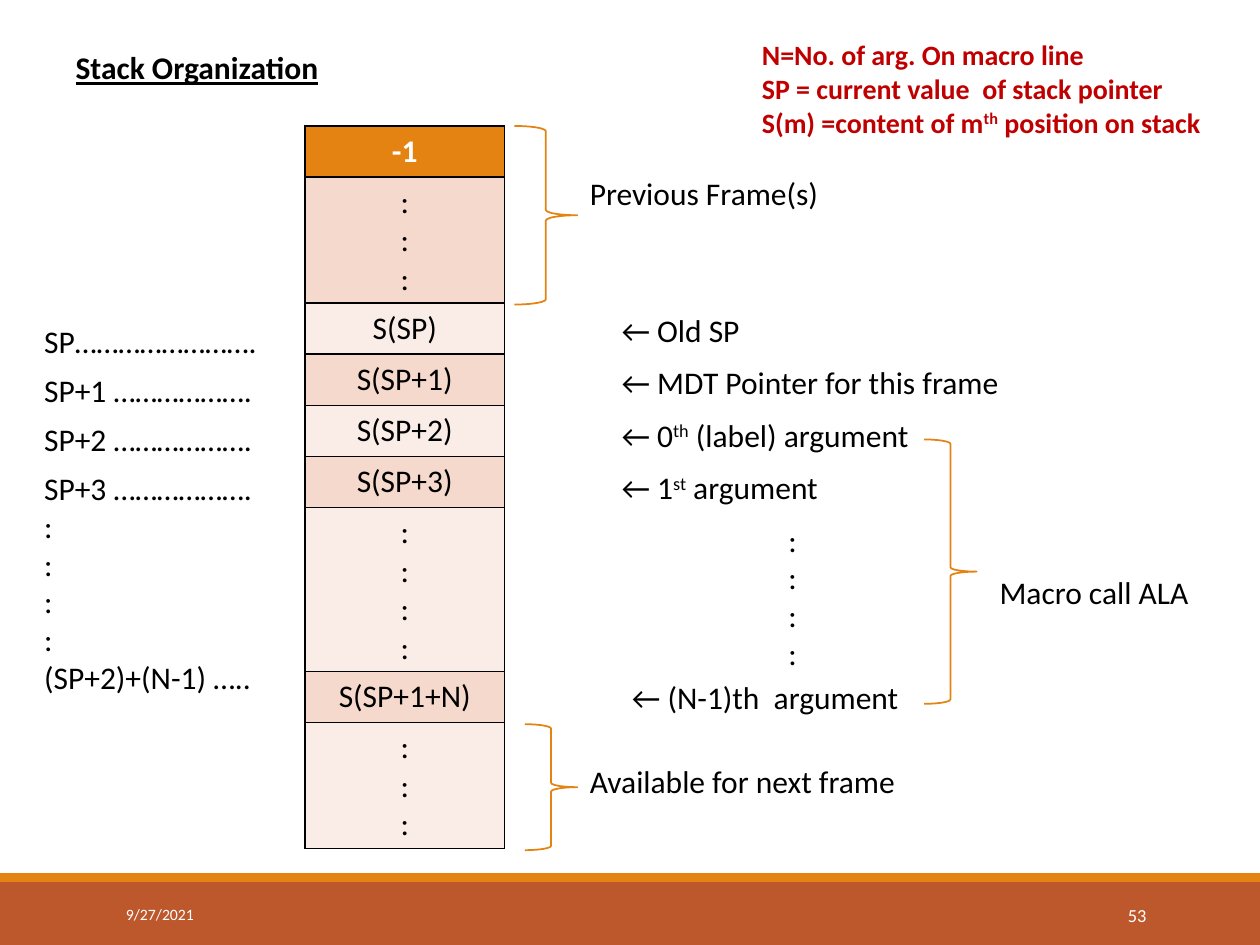
from lxml import etree
from pptx import Presentation
from pptx.dml.color import RGBColor
from pptx.enum.shapes import MSO_SHAPE
from pptx.enum.text import MSO_ANCHOR, MSO_AUTO_SIZE, PP_ALIGN
from pptx.oxml.ns import qn
from pptx.util import Cm, Pt

RECTANGLE, BRACE = MSO_SHAPE.RECTANGLE, MSO_SHAPE.RIGHT_BRACE
LEFT, CENTER, RIGHT = PP_ALIGN.LEFT, PP_ALIGN.CENTER, PP_ALIGN.RIGHT
TOP, MIDDLE = MSO_ANCHOR.TOP, MSO_ANCHOR.MIDDLE
FIT_SHAPE, FIT_NONE = MSO_AUTO_SIZE.SHAPE_TO_FIT_TEXT, MSO_AUTO_SIZE.NONE
COLORS = {
    "black": "000000", "white": "FFFFFF", "red": "C00000", "orange": "E48312",
    "rust": "BD582C", "dark band": "F5D9CC", "light band": "FAEDE7",
}
TITLE_ONLY = 5


class StackPage:
    """Holds the style and the current slide, and draws each kind of element."""

    def __init__(self, page):
        self.page = page
        self.format = {"name": "Calibri", "size": Pt(18), "bold": False, "underline": False}

    def color(self, name):
        return RGBColor.from_string(COLORS[name])

    def fill_text(self, frame, lines, color="black", align=LEFT, pitch=None, **changes):
        for index, line in enumerate(lines):
            para = frame.add_paragraph() if index else frame.paragraphs[0]
            para.alignment = align
            if pitch and not line.startswith((":", "(")):
                para.line_spacing = Pt(pitch)
            for order, words in enumerate(line.split("^")):
                span = para.add_run()
                span.text = words
                for key, value in {**self.format, **changes}.items():
                    setattr(span.font, key, value)
                span.font.color.rgb = self.color(color)
                if order % 2:
                    span.font._element.set("baseline", "30000")

    def title(self, words, left, top, width, height):
        box = self.page.shapes.title
        for key, value in zip(("left", "top", "width", "height"), (left, top, width, height)):
            setattr(box, key, Cm(value))
        frame = box.text_frame
        frame.auto_size, frame.vertical_anchor, frame.word_wrap = FIT_NONE, TOP, True
        self.fill_text(frame, [words], bold=True, underline=True)

    def text(self, lines, left, top, width=6.98, height=1.02, anchor=TOP, **style):
        box = self.page.shapes.add_textbox(Cm(left), Cm(top), Cm(width), Cm(height))
        frame = box.text_frame
        frame.word_wrap, frame.vertical_anchor = True, anchor
        frame.auto_size = FIT_SHAPE if anchor == TOP else FIT_NONE
        self.fill_text(frame, lines, **style)

    def bar(self, top, height, color):
        bar = self.page.shapes.add_shape(RECTANGLE, 0, Cm(top), Cm(25.4), Cm(height))
        bar.shadow.inherit = False
        bar.fill.solid()
        bar.fill.fore_color.rgb = self.color(color)
        bar.line.fill.background()

    def brace(self, left, top, width, height):
        brace = self.page.shapes.add_shape(BRACE, Cm(left), Cm(top), Cm(width), Cm(height))
        brace.shadow.inherit = False
        brace.fill.background()
        brace.line.color.rgb = self.color("orange")
        brace.line.width = Pt(1)

    def border(self, cell):
        properties = cell._tc.get_or_add_tcPr()
        for index, side in enumerate(("lnL", "lnR", "lnT", "lnB")):
            line = etree.Element(qn(f"a:{side}"), w=str(Pt(1)))
            fill = etree.SubElement(line, qn("a:solidFill"))
            etree.SubElement(fill, qn("a:srgbClr"), val=COLORS["black"])
            properties.insert(index, line)

    def stack(self, cells, left, top, width):
        heights = {1: 1.03, 3: 2.06, 4: 3.09}
        total = sum(heights[len(lines)] for lines in cells)
        table = self.page.shapes.add_table(
            len(cells), 1, Cm(left), Cm(top), Cm(width), Cm(total)).table
        for index, lines in enumerate(cells):
            table.rows[index].height = Cm(heights[len(lines)])
            cell = table.cell(index, 0)
            band = "dark band" if index % 2 else "light band"
            cell.fill.solid()
            cell.fill.fore_color.rgb = self.color(band if index else "orange")
            self.border(cell)
            self.fill_text(cell.text_frame, lines, "black" if index else "white", CENTER,
                           bold=index == 0)


def main():
    deck = Presentation()
    deck.slide_width, deck.slide_height = Cm(25.4), Cm(19.05)
    slide = StackPage(deck.slides.add_slide(deck.slide_layouts[TITLE_ONLY]))
    dots = [":"]

    slide.bar(17.78, 1.27, "rust")
    slide.bar(17.6, 0.18, "orange")
    slide.title("Stack Organization", 1.27, 0.85, 9.31, 1.07)
    slide.text(["N=No. of arg. On macro line", "SP = current value  of stack pointer",
                "S(m) =content of m^th^ position on stack"],
               15.11, 0.64, 10.29, 2.31, color="red", size=Pt(16), bold=True)

    slide.stack([["-1"], dots * 3, ["S(SP)"], ["S(SP+1)"], ["S(SP+2)"], ["S(SP+3)"],
                 dots * 4, ["S(SP+1+N)"], dots * 3], 6.15, 2.54, 4.02)
    slide.text(["SP…………………….", "SP+1 ……………….", "SP+2 ……………….", "SP+3 ……………….",
                *dots * 4, "(SP+2)+(N-1) ….."], 0.64, 6.14, 5.08, 8.1, pitch=28)

    slide.brace(10.37, 2.54, 1.27, 3.6)
    slide.brace(10.58, 14.6, 1.06, 2.54)
    slide.brace(18.63, 8.86, 1.06, 5.33)
    slide.text(["Previous Frame(s)"], 11.64, 3.39)
    slide.text(["Available for next frame"], 11.64, 15.24)
    slide.text(["Macro call ALA"], 19.9, 11.43, 5.5)

    entries = [("← Old SP", 6.98), ("← MDT Pointer for this frame", 9.1),
               ("← 0^th^ (label) argument", 7.2), ("← 1^st^ argument", 6.98)]
    for index, (words, width) in enumerate(entries):
        slide.text([words], 12.28, 6.14 + 1.06 * index, width)
    slide.text(dots * 4, 12.49, 10.37, height=3.33, align=CENTER)
    slide.text(["← (N-1)th  argument"], 12.49, 13.55)

    slide.text(["9/27/2021"], 2.29, 17.93, 5.16, anchor=MIDDLE, color="white", size=Pt(9))
    slide.text(["53"], 20.62, 17.93, 2.74, anchor=MIDDLE, color="white", align=RIGHT,
               size=Pt(10.5))
    deck.save("out.pptx")


if __name__ == "__main__":
    main()
